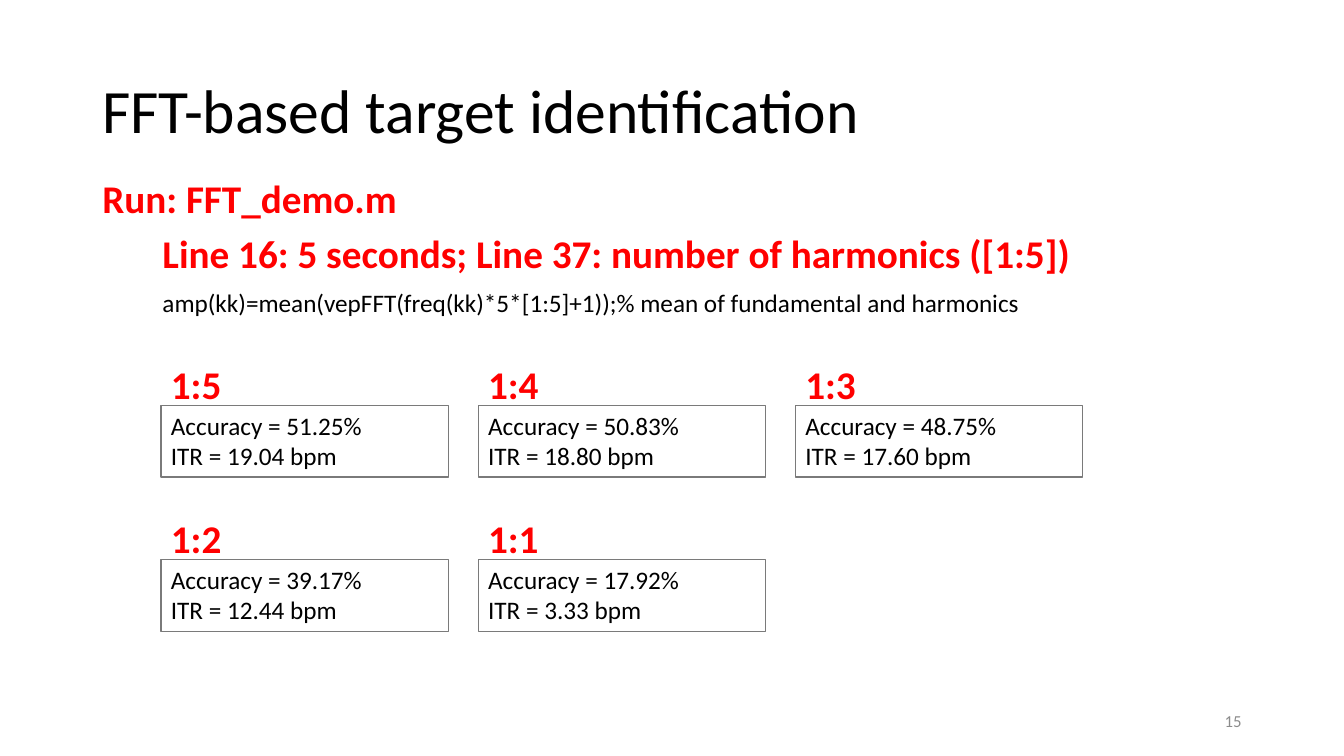
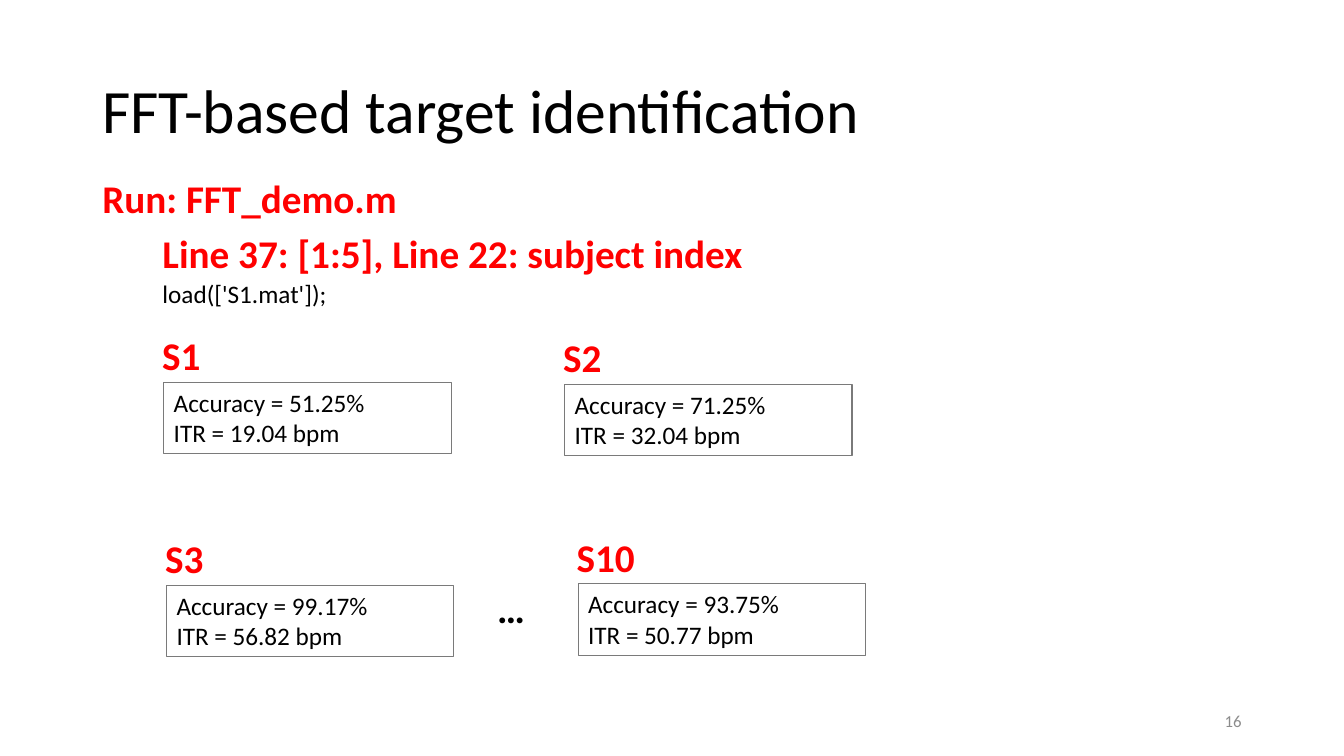
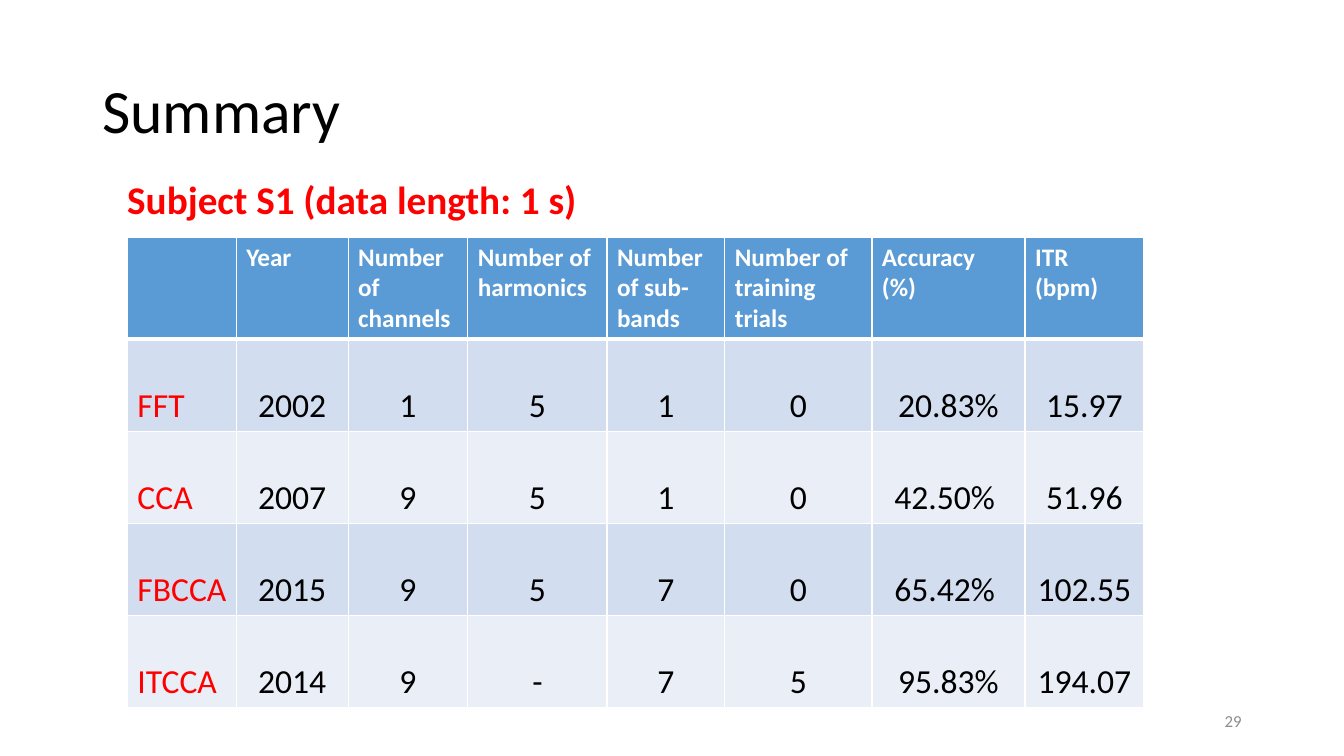
from lxml.etree import SubElement
from pptx import Presentation
from pptx.dml.color import RGBColor
from pptx.enum.shapes import MSO_SHAPE
from pptx.enum.text import MSO_ANCHOR, PP_ALIGN
from pptx.oxml.ns import qn
from pptx.util import Pt

FONT = "Calibri"
HUES = {
    "ink": "000000", "red": "FF0000", "white": "FFFFFF", "gray": "8C8C8C",
    "edge": "7A7A7A", "head": "5B9BD5", "odd": "D2DEEF", "even": "EAEFF7",
}
HEAD = dict(size=28, hue="red", bold=True)
CARD_W, CARD_H = 205.2, 51.2


def color(name):
    return RGBColor.from_string(HUES[name])


def write(frame, text, size=18, hue="ink", bold=False, align=PP_ALIGN.LEFT,
          space=None, anchor=MSO_ANCHOR.TOP):
    """Fill a text frame, one paragraph per line of text."""
    frame.word_wrap = True
    frame.vertical_anchor = anchor
    for i, line in enumerate(text.split("\n")):
        para = frame.add_paragraph() if i else frame.paragraphs[0]
        para.alignment = align
        para.line_spacing = space
        run = para.add_run()
        run.text = line
        font = run.font
        font.name, font.size, font.bold = FONT, Pt(size), bold
        font.color.rgb = color(hue)


def label(slide, x, y, w, h, text, **form):
    box = slide.shapes.add_textbox(Pt(x), Pt(y), Pt(w), Pt(h))
    write(box.text_frame, text, **form)


def base(deck, title, number):
    """Blank slide with the shared title and page number."""
    slide = deck.slides.add_slide(deck.slide_layouts[6])
    label(slide, 66, 28.8, 828, 104.4, title, size=44, space=0.9,
          anchor=MSO_ANCHOR.MIDDLE)
    label(slide, 678, 500.4, 216, 28.8, number, size=12, hue="gray",
          align=PP_ALIGN.RIGHT, anchor=MSO_ANCHOR.MIDDLE)
    return slide


def demo(deck, number, step, code, code_y):
    """Slide about a run of the demo: heading, edited lines, code."""
    slide = base(deck, "FFT-based target identification", number)
    label(slide, 66, 121, 300, 41, "Run: FFT_demo.m", **HEAD)
    label(slide, 109, 160, 700, 41, step, **HEAD)
    label(slide, 109, code_y, 811, 29, code)
    return slide


def card(slide, x, y, name, acc, rate, dx=0, dy=-35.6):
    """Framed result with its name above, shifted by dx and dy."""
    rect = slide.shapes.add_shape(MSO_SHAPE.RECTANGLE, Pt(x), Pt(y),
                                  Pt(CARD_W), Pt(CARD_H))
    rect.shadow.inherit = False
    rect.fill.background()
    rect.line.color.rgb = color("edge")
    rect.line.width = Pt(0.75)
    write(rect.text_frame, f"Accuracy = {acc}%\nITR = {rate} bpm")
    label(slide, x + dx, y + dy, 90, 41, name, **HEAD)


def edges(cell, low):
    """White cell borders; low is the width of the bottom one."""
    props = cell._tc.get_or_add_tcPr()
    sides = (("a:lnL", 1), ("a:lnR", 1), ("a:lnT", 1), ("a:lnB", low))
    for i, (tag, width) in enumerate(sides):
        line = SubElement(props, qn(tag), w=str(Pt(width)))
        fill = SubElement(line, qn("a:solidFill"))
        SubElement(fill, qn("a:srgbClr"), val=HUES["white"])
        props.insert(i, line)


def grid(slide, x, y, cols, rows, data):
    """Table with a blue head row, red names and banded rows."""
    table = slide.shapes.add_table(len(rows), len(cols), Pt(x), Pt(y),
                                   Pt(sum(cols)), Pt(sum(rows))).table
    for col, width in zip(table.columns, cols):
        col.width = Pt(width)
    for r, (row, height) in enumerate(zip(data, rows)):
        table.rows[r].height = Pt(height)
        for c, text in enumerate(row):
            cell = table.cell(r, c)
            cell.fill.solid()
            if r == 0:
                band, form = "head", dict(hue="white", bold=True)
            else:
                band = "odd" if r % 2 else "even"
                form = dict(size=24, space=2.0, hue="ink" if c else "red",
                            align=PP_ALIGN.CENTER if c else PP_ALIGN.LEFT)
            cell.fill.fore_color.rgb = color(band)
            edges(cell, 1 if r else 3)
            if c == 0:
                cell.margin_right = Pt(2)  # room for the longest name
            if text:
                write(cell.text_frame, text, **form)


def tones(deck):
    """Results by number of harmonics."""
    slide = demo(
        deck, "15", "Line 16: 5 seconds; Line 37: number of harmonics ([1:5])",
        "amp(kk)=mean(vepFFT(freq(kk)*5*[1:5]+1));"
        "% mean of fundamental and harmonics", 201.6)
    cards = [("1:5", "51.25", "19.04"), ("1:4", "50.83", "18.80"),
             ("1:3", "48.75", "17.60"), ("1:2", "39.17", "12.44"),
             ("1:1", "17.92", "3.33")]
    for i, item in enumerate(cards):
        row, col = divmod(i, 3)
        card(slide, 115 + col * 226.6, 289.6 + row * 110, *item)


def people(deck):
    """Results by subject."""
    slide = demo(deck, "16", "Line 37: [1:5], Line 22: subject index",
                 "load(['S1.mat']);", 195)
    cards = [(117, 273, "S1", "51.25", "19.04"),
             (403.4, 274.4, "S2", "71.25", "32.04"),
             (119, 418, "S3", "99.17", "56.82"),
             (413, 417, "S10", "93.75", "50.77")]
    for item in cards:
        card(slide, *item, dx=-8.2, dy=-39.8)
    label(slide, 348, 414, 40, 41, "…", size=28, bold=True)


def recap(deck):
    """Table that compares the methods."""
    slide = base(deck, "Summary", "29")
    label(slide, 83.8, 121.6, 400, 41, "Subject S1 (data length: 1 s)", **HEAD)
    data = [
        ["", "Year", "Number of channels", "Number of harmonics",
         "Number of sub-bands", "Number of training trials",
         "Accuracy\n(%)", "ITR\n(bpm)"],
        ["FFT", "2002", "1", "5", "1", "0", "20.83%", "15.97"],
        ["CCA", "2007", "9", "5", "1", "0", "42.50% ", "51.96"],
        ["FBCCA", "2015", "9", "5", "7", "0", "65.42% ", "102.55"],
        ["ITCCA", "2014", "9", "-", "7", "5", "95.83%", "194.07"],
    ]
    cols = [77.8, 79.9, 85.5, 99.4, 84.2, 105.1, 109.4, 84.8]
    grid(slide, 91, 169.4, cols, [73] + [65.8] * 4, data)


def main():
    deck = Presentation()
    deck.slide_width, deck.slide_height = Pt(960), Pt(540)
    for make in (tones, people, recap):
        make(deck)
    deck.save("out.pptx")


if __name__ == "__main__":
    main()
